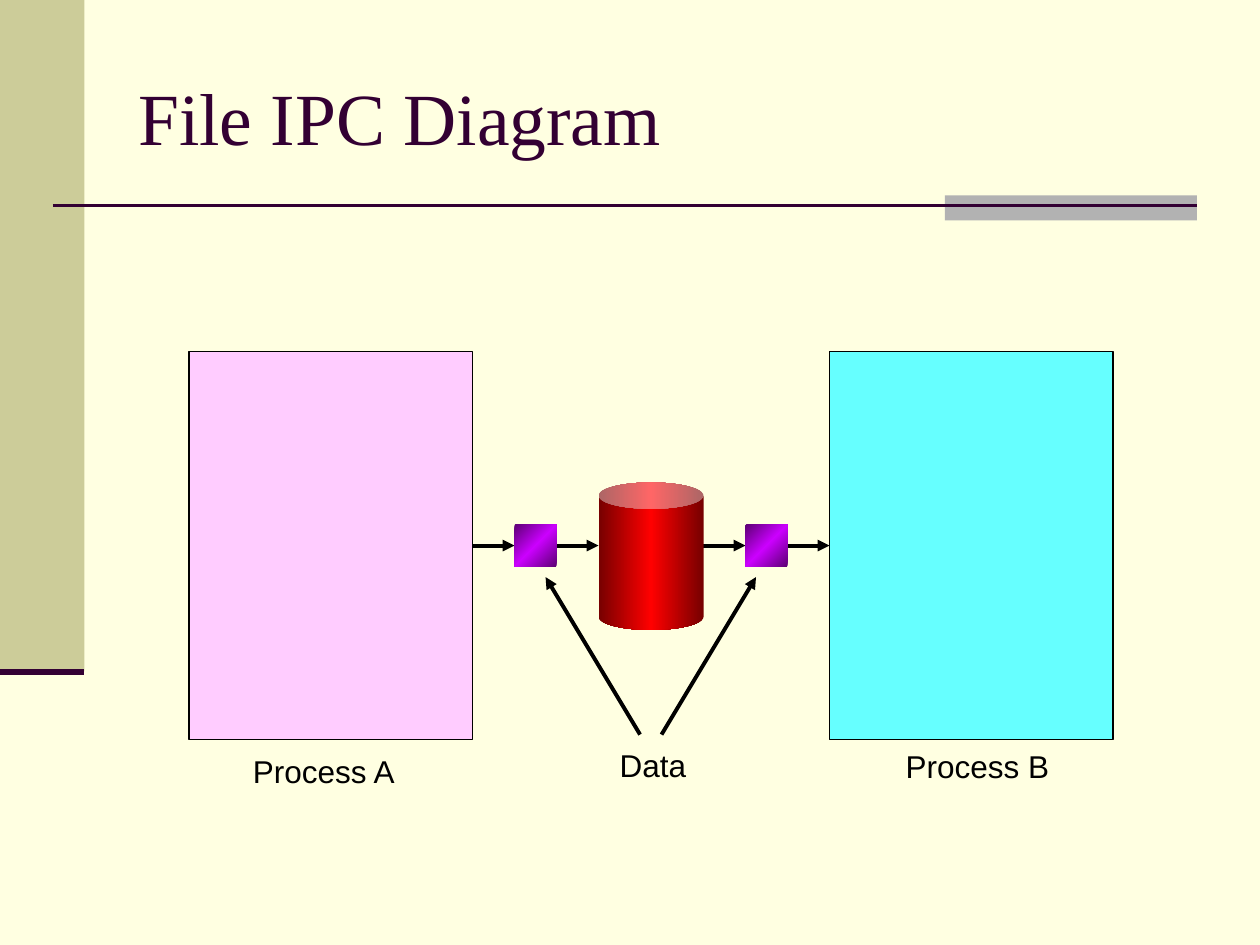
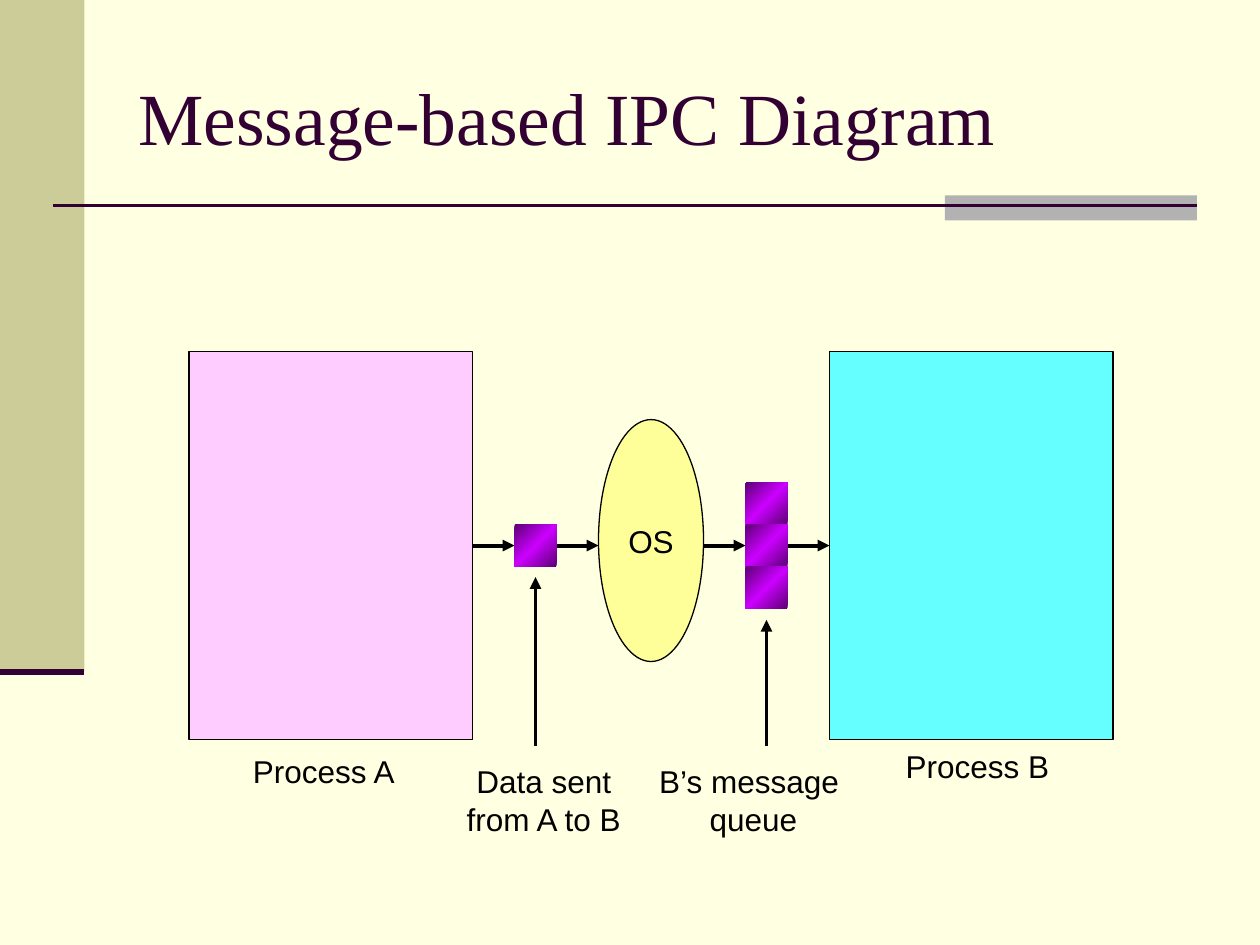
from copy import deepcopy

from lxml.etree import SubElement
from pptx import Presentation
from pptx.dml.color import RGBColor
from pptx.enum.shapes import MSO_CONNECTOR, MSO_SHAPE
from pptx.enum.text import MSO_ANCHOR, PP_ALIGN
from pptx.oxml.ns import qn
from pptx.util import Inches, Pt

# Colours and fonts
CREAM, KHAKI, GREY, PLUM, BLACK = "FFFFE1", "CCCC99", "B2B2B2", "330033", "000000"
PINK, CYAN, YELLOW = "FFCCFF", "66FFFF", "FFFF99"
VIOLET_SHEEN = ("5E0076", "CC00FF", 45)
RED_SHEEN = ("760000", "FF0000", 0)
TITLE_FONT, LABEL_FONT = "Times New Roman", "Arial"

# Flow from process A to process B: arrows and packets are one step wide
STEP = 1 / 3
PROCESS_TOP, PROCESS_WIDTH, PROCESS_HEIGHT = 2.79, 2.25, 3.08
FLOW_Y = 4.33
PROCESS_A_LEFT = 1.5
FLOW_LEFT = PROCESS_A_LEFT + PROCESS_WIDTH
SENT_LEFT = FLOW_LEFT + STEP
MEDIUM_LEFT = SENT_LEFT + 2 * STEP
MEDIUM_WIDTH = 2.5 * STEP
RECEIVED_LEFT = MEDIUM_LEFT + MEDIUM_WIDTH + STEP
PROCESS_B_LEFT = RECEIVED_LEFT + 2 * STEP


def rgb(hex_colour):
    return RGBColor.from_string(hex_colour)


class Deck:
    def __init__(self):
        self.prs = Presentation()
        self.prs.slide_width, self.prs.slide_height = Inches(10), Inches(7.5)
        self.slide = None

    def new_slide(self, title):
        """Start a slide with its background, bands, rules and title."""
        self.slide = self.prs.slides.add_slide(self.prs.slide_layouts[6])
        background = self.slide.background.fill
        background.solid()
        background.fore_color.rgb = rgb(CREAM)
        self.shape(MSO_SHAPE.RECTANGLE, 0, 0, 0.67, 5.33, KHAKI)
        self.shape(MSO_SHAPE.RECTANGLE, 7.5, 1.55, 2, 0.2, GREY)
        self.line((0.42, 1.63), (9.5, 1.63), PLUM, 1.5)
        self.line((0, 5.33), (0.67, 5.33), PLUM, 3.5)
        box = self.slide.shapes.add_textbox(Inches(1), Inches(0.3), Inches(8.5), Inches(1.25))
        self.fill_text(box.text_frame, [title], TITLE_FONT, 42, PLUM, wrap=True)

    def fill_text(self, frame, lines, font=LABEL_FONT, size=18, colour=BLACK,
                  align=PP_ALIGN.LEFT, wrap=False):
        frame.word_wrap = wrap
        frame.vertical_anchor = MSO_ANCHOR.MIDDLE
        for number, line in enumerate(lines):
            paragraph = frame.add_paragraph() if number else frame.paragraphs[0]
            paragraph.alignment = align
            run = paragraph.add_run()
            run.text = line
            run.font.name, run.font.size = font, Pt(size)
            run.font.color.rgb = rgb(colour)

    def label(self, left, top, width, *lines, align=PP_ALIGN.LEFT):
        height = 0.1 + 0.3 * len(lines)
        box = self.slide.shapes.add_textbox(
            Inches(left), Inches(top), Inches(width), Inches(height))
        self.fill_text(box.text_frame, lines, align=align)

    def shape(self, kind, left, top, width, height, fill, outline=None):
        shape = self.slide.shapes.add_shape(
            kind, Inches(left), Inches(top), Inches(width), Inches(height))
        shape.shadow.inherit = False
        if isinstance(fill, tuple):
            self.sheen(shape, *fill)
        else:
            shape.fill.solid()
            shape.fill.fore_color.rgb = rgb(fill)
        if outline:
            shape.line.color.rgb = rgb(outline)
            shape.line.width = Pt(0.75)
        else:
            shape.line.fill.background()
        return shape

    def sheen(self, shape, edge, middle, angle):
        """Gradient that is dark at both edges and bright in the middle."""
        shape.fill.gradient()
        shape.fill.gradient_angle = -angle % 360
        first, last = shape.fill.gradient_stops
        first.position, last.position = 0, 0.5
        first.color.rgb, last.color.rgb = rgb(edge), rgb(middle)
        stops = shape.element.spPr.find(".//" + qn("a:gsLst"))
        end = deepcopy(stops[0])
        end.set("pos", "100000")
        stops.append(end)

    def line(self, start, end, colour=BLACK, width=2.25):
        points = [Inches(value) for value in (*start, *end)]
        connector = self.slide.shapes.add_connector(MSO_CONNECTOR.STRAIGHT, *points)
        connector.line.color.rgb = rgb(colour)
        connector.line.width = Pt(width)
        SubElement(connector.element.spPr, qn("a:effectLst"))
        return connector

    def arrow(self, start, end):
        outline = self.line(start, end).element.spPr.find(qn("a:ln"))
        SubElement(outline, qn("a:tailEnd"), type="triangle")

    def packet(self, left, row=0):
        """Data packet; row counts up or down from the flow line."""
        top = FLOW_Y + (row - 0.5) * STEP
        self.shape(MSO_SHAPE.RECTANGLE, left, top, STEP, STEP, VIOLET_SHEEN)

    def processes(self):
        """Both processes, their labels and the arrows between them."""
        for left, fill in ((PROCESS_A_LEFT, PINK), (PROCESS_B_LEFT, CYAN)):
            self.shape(MSO_SHAPE.RECTANGLE, left, PROCESS_TOP,
                       PROCESS_WIDTH, PROCESS_HEIGHT, fill, BLACK)
        self.label(1.91, 5.92, 1.34, "Process A")
        self.label(7.09, 5.88, 1.34, "Process B")
        for tip in (SENT_LEFT, MEDIUM_LEFT, RECEIVED_LEFT, PROCESS_B_LEFT):
            self.arrow((tip - STEP, FLOW_Y), (tip, FLOW_Y))


def file_diagram(deck):
    deck.new_slide("File IPC Diagram")
    deck.processes()
    for left in (SENT_LEFT, RECEIVED_LEFT):
        deck.packet(left)
    file_can = deck.shape(MSO_SHAPE.CAN, MEDIUM_LEFT, 3.83, MEDIUM_WIDTH, 1.17, RED_SHEEN)
    file_can.adjustments[0] = 0.25
    # Pointers from the label to both packets
    deck.label(4.82, 5.87, 0.73, "Data")
    deck.arrow((5.08, 5.83), (4.33, 4.58))
    deck.arrow((5.25, 5.83), (6, 4.58))


def message_diagram(deck):
    deck.new_slide("Message-based IPC Diagram")
    deck.processes()
    deck.packet(SENT_LEFT)
    for row in (-1, 0, 1):
        deck.packet(RECEIVED_LEFT, row)
    system = deck.shape(MSO_SHAPE.OVAL, MEDIUM_LEFT, 3.33, MEDIUM_WIDTH, 1.92, YELLOW, BLACK)
    deck.fill_text(system.text_frame, ["OS"], align=PP_ALIGN.CENTER)
    # Pointers to the sent packet and the queue
    deck.label(3.59, 6, 1.45, "Data sent", "from A to B", align=PP_ALIGN.CENTER)
    deck.label(5.13, 6, 1.7, "B’s message ", "queue", align=PP_ALIGN.CENTER)
    for left, tip in ((SENT_LEFT, 4.58), (RECEIVED_LEFT, 4.92)):
        centre = left + STEP / 2
        deck.arrow((centre, 5.92), (centre, tip))


def main():
    deck = Deck()
    file_diagram(deck)
    message_diagram(deck)
    deck.prs.save("out.pptx")


if __name__ == "__main__":
    main()
